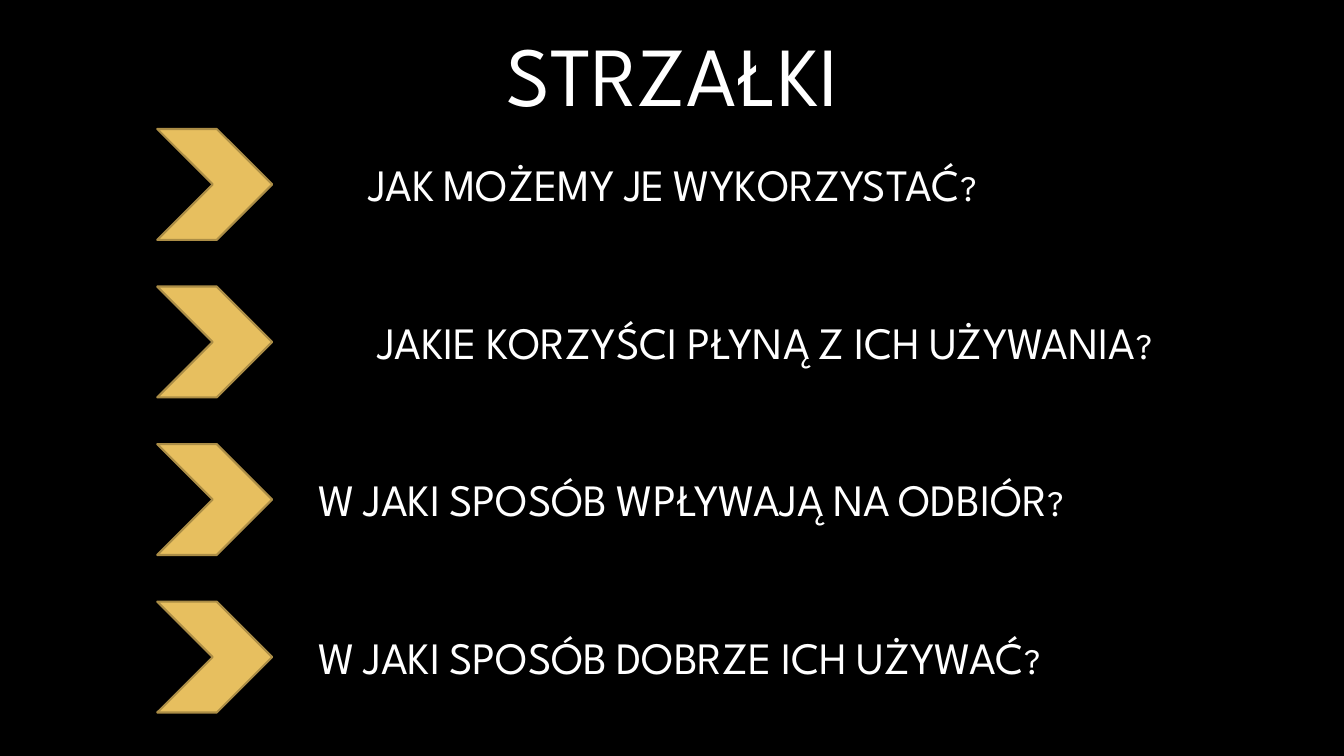
"""Build the slide STRZAŁKI: four gold chevrons, each with a question."""
from pptx import Presentation
from pptx.dml.color import RGBColor
from pptx.enum.shapes import MSO_SHAPE as Shape
from pptx.enum.text import MSO_ANCHOR as Anchor, MSO_AUTO_SIZE as AutoSize, PP_ALIGN as Align
from pptx.util import Inches, Pt

FONT = "League Spartan"
COLORS = {"background": "000000", "text": "FFFFFF", "text_end": "BFBFBF",
          "gold": "E7BF5F", "gold_edge": "AB8D46"}
QUESTIONS = [
    ("JAK MOŻEMY JE WYKORZYSTAĆ?", 2.9, 7.54, Align.CENTER),
    ("JAKIE KORZYŚCI PŁYNĄ Z ICH UŻYWANIA?", 3.06, 9.05, Align.CENTER),
    ("W JAKI SPOSÓB WPŁYWAJĄ NA ODBIÓR?", 3.06, 9.05, Align.LEFT),
    ("W JAKI SPOSÓB DOBRZE ICH UŻYWAĆ?", 3.06, 9.05, Align.LEFT),
]
FIRST_TOP = 1.28
ROW_STEP = 1.563


def color(name):
    return RGBColor.from_string(COLORS[name])


def add_text(left, top, width, height, text, size, align):
    box = slide.shapes.add_textbox(Inches(left), Inches(top), Inches(width), Inches(height))
    paragraph = box.text_frame.paragraphs[0]
    paragraph.alignment = align
    run = paragraph.add_run()
    run.text = text
    run.font.name = FONT
    run.font.size = Pt(size)
    return box.text_frame, paragraph, run


presentation = Presentation()
presentation.slide_width = Inches(13.33)
presentation.slide_height = Inches(7.5)
slide = presentation.slides.add_slide(presentation.slide_layouts[6])
slide.background.fill.solid()
slide.background.fill.fore_color.rgb = color("background")

frame, paragraph, run = add_text(4.85, 0.17, 3.64, 1.11, "STRZAŁKI", 60, Align.CENTER)
frame.word_wrap = False
frame.auto_size = AutoSize.SHAPE_TO_FIT_TEXT
run.font.color.rgb = color("text")

for row, (question, left, width, align) in enumerate(QUESTIONS):
    top = FIRST_TOP + row * ROW_STEP
    chevron = slide.shapes.add_shape(Shape.CHEVRON, Inches(1.56), Inches(top),
                                     Inches(1.14), Inches(1.1))
    chevron.shadow.inherit = False
    chevron.fill.solid()
    chevron.fill.fore_color.rgb = color("gold")
    chevron.line.color.rgb = color("gold_edge")
    chevron.line.width = Pt(1.5)

    frame, paragraph, run = add_text(left, top + 0.23, width, 0.63, question, 32, align)
    frame.word_wrap = True
    frame.vertical_anchor = Anchor.BOTTOM
    paragraph.space_before = Pt(6.4)
    paragraph.space_after = Pt(6)
    run.font._element.set("cap", "small")
    run.font.fill.gradient()
    run.font.fill.gradient_angle = 267
    for stop, name in zip(run.font.fill.gradient_stops, ("text", "text_end")):
        stop.color.rgb = color(name)

presentation.save("out.pptx")
